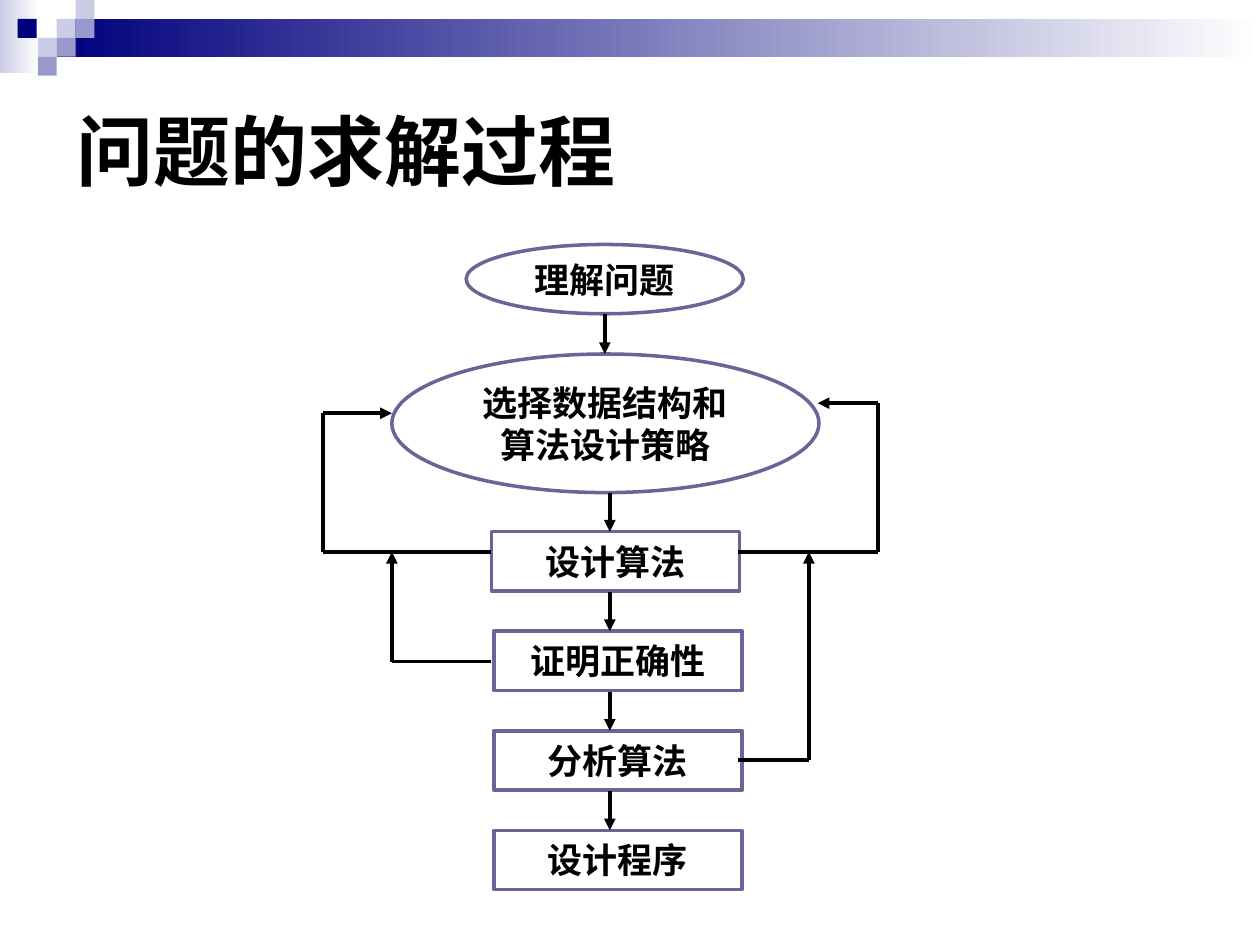
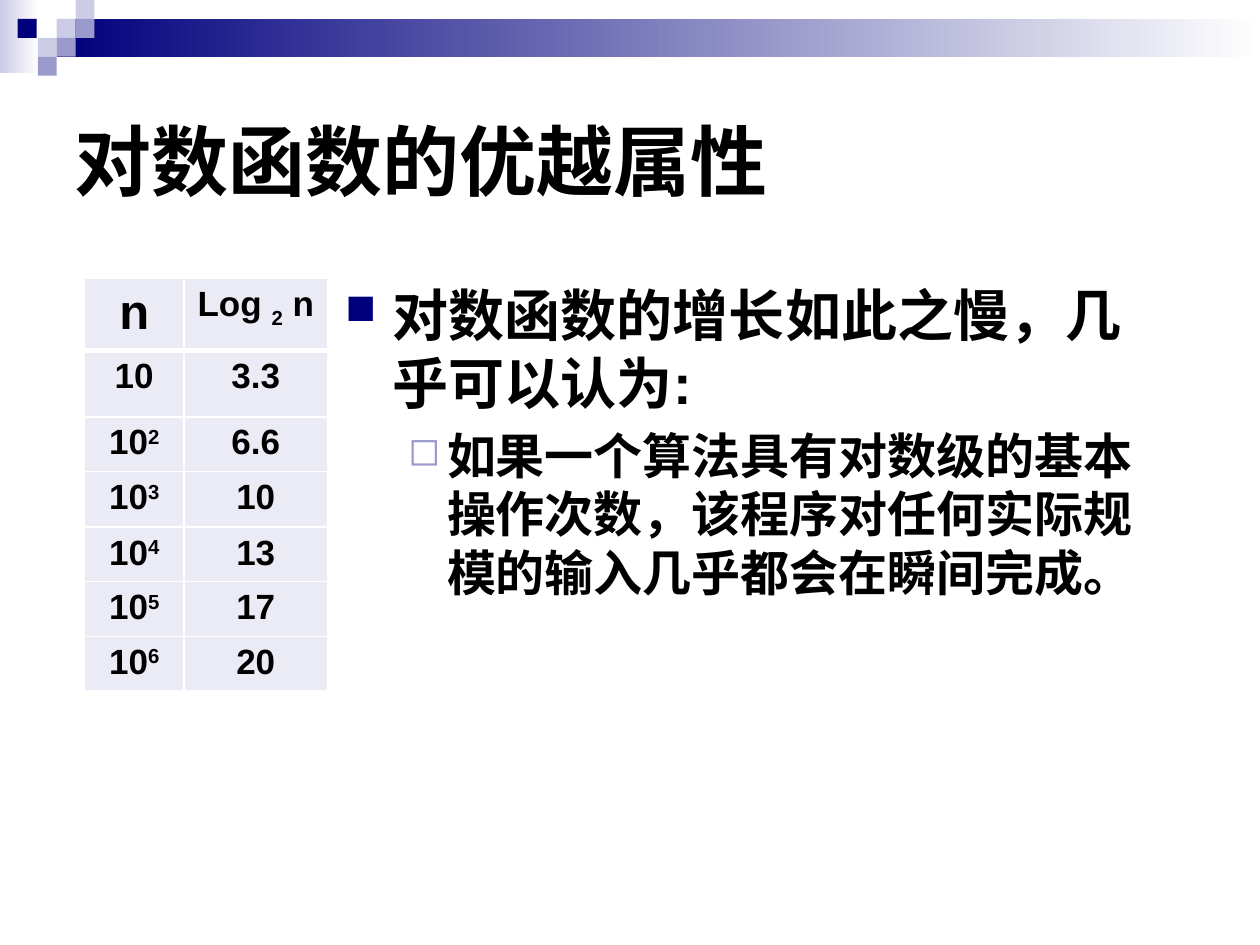
from lxml import etree
from pptx import Presentation
from pptx.dml.color import RGBColor
from pptx.enum.lang import MSO_LANGUAGE_ID as LANG
from pptx.enum.shapes import MSO_CONNECTOR, MSO_SHAPE
from pptx.enum.text import MSO_ANCHOR, PP_ALIGN
from pptx.oxml import parse_xml
from pptx.oxml.ns import nsdecls, qn
from pptx.util import Inches, Pt

COLORS = {"navy": "00007D", "mid": "9999CC", "pale": "CCCCE6", "outline": "666699",
          "cell": "EBEBF5", "black": "000000", "white": "FFFFFF"}
RGB = {name: RGBColor.from_string(value) for name, value in COLORS.items()}


def add_run(p, text, size, baseline=0):
    r = p.add_run()
    r.text = text
    r.font.name, r.font.size, r.font.bold = "Arial", Pt(size), True
    r.font.color.rgb = RGB["black"]
    r.font.language_id = LANG.SIMPLIFIED_CHINESE
    if baseline:
        r._r.get_or_add_rPr().set("baseline", str(baseline * 1000))


def add_box(s, kind, x, y, w, h, fill, outline=None):
    sp = s.shapes.add_shape(kind, Inches(x), Inches(y), Inches(w), Inches(h))
    sp.shadow.inherit = False
    if isinstance(fill, tuple):
        sp.fill.gradient()
        sp.fill.gradient_angle = 0
        for stop, name in zip(sp.fill.gradient_stops, fill):
            stop.color.rgb = RGB[name]
    else:
        sp.fill.solid()
        sp.fill.fore_color.rgb = RGB[fill]
    if outline:
        sp.line.color.rgb = RGB[outline]
        sp.line.width = Pt(2)
    else:
        sp.line.fill.background()
    return sp


prs = Presentation()
prs.slide_width, prs.slide_height = Inches(10), Inches(7.5)

# Shared header band, mosaic squares and title
mosaic = [(0.45, 0.15, "pale"), (0.6, 0, "pale"), (0.6, 0.15, "mid"),
          (0.3, 0.3, "pale"), (0.14, 0.15, "navy"), (0.45, 0.3, "mid"),
          (0.3, 0.45, "mid")]
slides = []
for title, x, y in [("问题的求解过程", 0.51, 0.44), ("对数函数的优越属性", 0.49, 0.52)]:
    s = prs.slides.add_slide(prs.slide_layouts[6])
    add_box(s, MSO_SHAPE.RECTANGLE, 0, 0, 0.31, 0.58, ("pale", "white"))
    add_box(s, MSO_SHAPE.RECTANGLE, 0.45, 0.15, 9.55, 0.3, ("navy", "white"))
    for left, top, color in mosaic:
        add_box(s, MSO_SHAPE.RECTANGLE, left, top, 0.15, 0.15, color)
    tf = s.shapes.add_textbox(Inches(x), Inches(y), Inches(9), Inches(1.5)).text_frame
    tf.word_wrap = True
    tf.vertical_anchor = MSO_ANCHOR.MIDDLE
    add_run(tf.paragraphs[0], title, 44)
    slides.append(s)
flow, logs = slides

# Flowchart steps
PITCH, STEP_TOP = 0.79, 4.22
steps = [(MSO_SHAPE.OVAL, 3.7, 1.94, 2.2, 0.55, ["理解问题"]),
         (MSO_SHAPE.OVAL, 3.11, 2.81, 3.39, 1.1, ["选择数据结构和", "算法设计策略"])]
for i, name in enumerate(["设计算法", "证明正确性", "分析算法", "设计程序"]):
    steps.append((MSO_SHAPE.RECTANGLE, 3.92 if i else 3.9, STEP_TOP + i * PITCH,
                  1.97, 0.47, [name]))
for kind, x, y, w, h, lines in steps:
    tf = add_box(flow, kind, x, y, w, h, "white", "outline").text_frame
    tf.word_wrap = False
    tf.vertical_anchor = MSO_ANCHOR.MIDDLE
    for i, line in enumerate(lines):
        p = tf.add_paragraph() if i else tf.paragraphs[0]
        p.alignment = PP_ALIGN.CENTER
        add_run(p, line, 20)

# Each route is a chain of points that ends in an arrowhead
routes = [[(4.8, 2.49), (4.8, 2.81)]]
for i in range(4):
    end = STEP_TOP + i * PITCH
    routes.append([(4.84, end - 0.31), (4.84, end)])
routes += [
    [(3.9, 4.38), (2.56, 4.38), (2.56, 3.28), (3.11, 3.28)],
    [(5.86, 4.38), (6.97, 4.38), (6.97, 3.2), (6.49, 3.2)],
    [(3.9, 5.25), (3.11, 5.25), (3.11, 4.38)],
    [(5.86, 6.03), (6.42, 6.03), (6.42, 4.38)],
]
for route in routes:
    for start, end in zip(route, route[1:]):
        line = flow.shapes.add_connector(
            MSO_CONNECTOR.STRAIGHT, *[Inches(v) for v in start + end])
        line.line.color.rgb = RGB["black"]
        line.line.width = Pt(2.25)
        etree.SubElement(line._element.spPr, qn("a:effectLst"))
    etree.SubElement(line.line._get_or_add_ln(), qn("a:tailEnd"), type="triangle")

# Bulleted text beside the table
tf = logs.shapes.add_textbox(Inches(2.64), Inches(2.18), Inches(6.54), Inches(3.47)).text_frame
tf.word_wrap = True
bullets = [
    ("对数函数的增长如此之慢，几乎可以认为:", 32, 0.38, 0.38, "■", "navy", 75),
    ("如果一个算法具有对数级的基本操作次数，该程序对任何实际规模的输入几乎都会在瞬间完成。",
     28, 0.81, 0.31, "◻", "mid", 80),
]
for level, (text, size, margin, hang, char, color, percent) in enumerate(bullets):
    p = tf.add_paragraph() if level else tf.paragraphs[0]
    p.level = level
    pPr = p._p.get_or_add_pPr()
    pPr.set("marL", str(Inches(margin)))
    pPr.set("indent", str(-Inches(hang)))
    clr = etree.SubElement(pPr, qn("a:buClr"))
    etree.SubElement(clr, qn("a:srgbClr"), val=COLORS[color])
    etree.SubElement(pPr, qn("a:buSzPct"), val=str(percent * 1000))
    etree.SubElement(pPr, qn("a:buChar"), char=char)
    if level:
        p.space_before = Pt(5.6)
    add_run(p, text, size)

# Logarithm table: every cell is a list of (text, size, baseline) runs
rows = [([("n", 28, 0)], [("Log ", 20, 0), ("2", 20, -25), (" n", 20, 0)])]
for power, value in enumerate(["3.3", "6.6", "10", "13", "17", "20"], 1):
    n = [("10", 20, 0)]
    if power > 1:
        n.append((str(power), 20, 30))
    rows.append((n, [(value, 20, 0)]))

table = logs.shapes.add_table(7, 2, Inches(0.67), Inches(2.21),
                              Inches(1.93), Inches(3.26)).table
table.first_row = table.horz_banding = False
for col, width in zip(table.columns, [0.79, 1.14]):
    col.width = Inches(width)
for row, height in zip(table.rows, [0.57, 0.53, 0.43, 0.44, 0.43, 0.43, 0.43]):
    row.height = Inches(height)
for i, row in enumerate(rows):
    for j, runs in enumerate(row):
        cell = table.cell(i, j)
        cell.fill.solid()
        cell.fill.fore_color.rgb = RGB["cell"]
        for k, side in enumerate("LRTB"):
            width = Pt(3 if (i, side) in [(0, "B"), (1, "T")] else 1)
            cell._tc.get_or_add_tcPr().insert(k, parse_xml(
                f'<a:ln{side} {nsdecls("a")} w="{width}"><a:solidFill>'
                f'<a:srgbClr val="{COLORS["white"]}"/></a:solidFill></a:ln{side}>'))
        p = cell.text_frame.paragraphs[0]
        p.alignment = PP_ALIGN.CENTER
        for text, size, baseline in runs:
            add_run(p, text, size, baseline)

prs.save("out.pptx")
